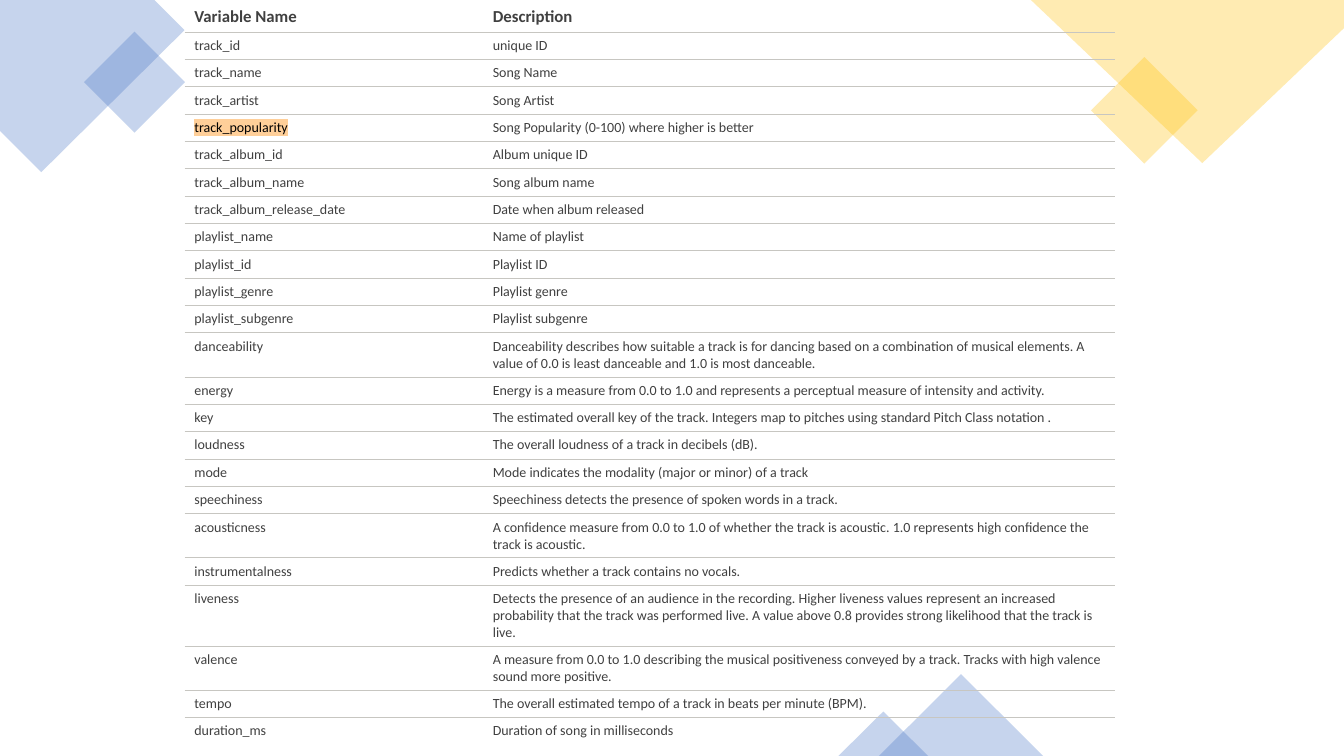
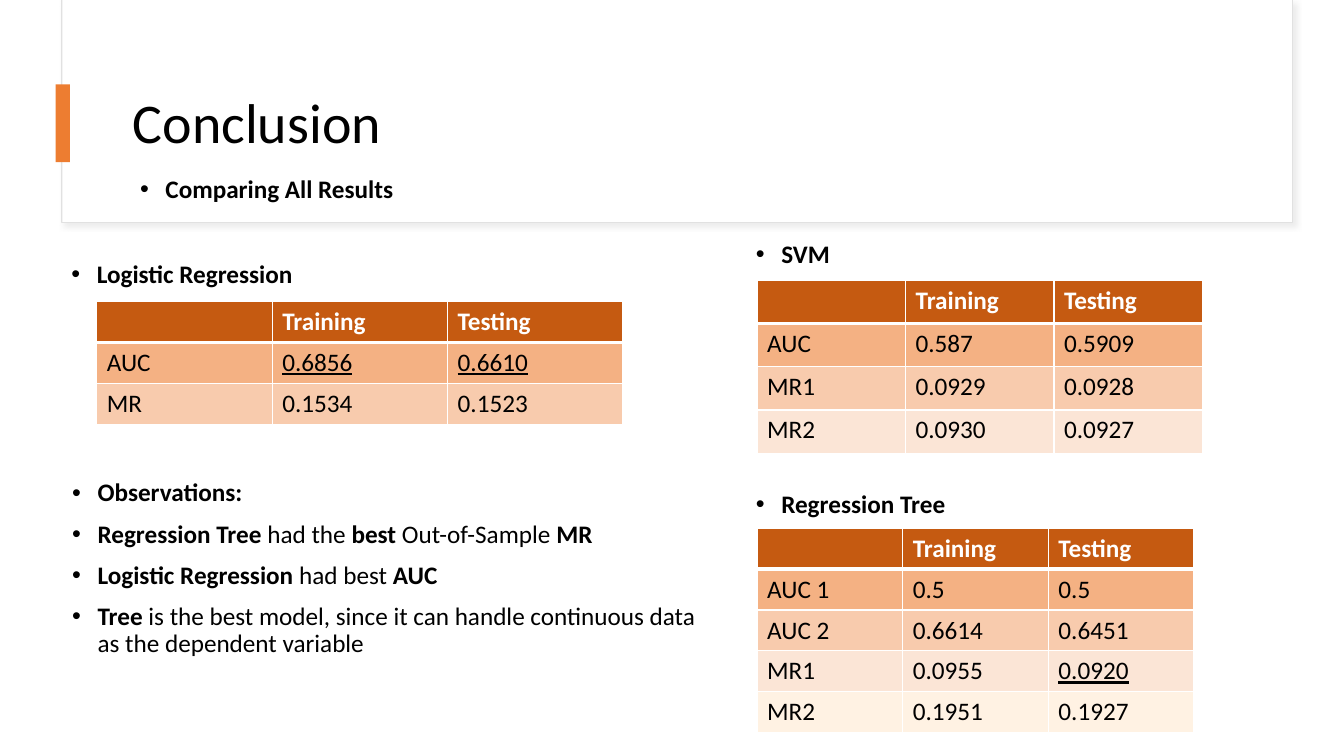
from dataclasses import dataclass
from typing import Any, NamedTuple

from lxml import etree
from pptx import Presentation
from pptx import util as u
from pptx.dml.color import RGBColor
from pptx.enum import shapes, text
from pptx.oxml import ns
from pptx.slide import Slide

FONT = "Calibri"
BLACK, WHITE, GREY = "000000", "FFFFFF", "404040"
BLUE, GOLD, ORANGE = "4472C4", "FFC000", "ED7D31"
RULE, PEACH, FRAME_LINE = "C7C6C1", "FFCF99", "E1E1E1"
HEADER_FILL = "C55A11"
BAND_FILLS = [("F4B183", 100), ("F8CBAD", 100), ("FBE5D6", 100), (PEACH, 27)]
PLAIN_TABLE = "{2D5ABB26-0587-4C30-8999-92F81FD0307C}"
SLIDE_WIDTH, SLIDE_HEIGHT = 33.87, 19.05


class Box(NamedTuple):
    left: float
    top: float
    width: float
    height: float

    def lengths(self) -> list[u.Cm]:
        return [u.Cm(value) for value in self]


class Span(NamedTuple):
    words: str
    bold: bool = True


@dataclass
class Decor:
    kind: shapes.MSO_SHAPE
    box: Box
    color: str
    rotation: float = 0


@dataclass
class Outline:
    points: list[tuple[float, float]]
    color: str


@dataclass
class BulletBox:
    box: Box
    lines: list[list[Span]]


@dataclass
class ResultTable:
    left: float
    top: float
    column_width: float
    row_height: float
    rows: list[tuple[str, str, str]]
    best: tuple[str, ...] = ()


RECTANGLE = shapes.MSO_SHAPE.RECTANGLE
TRIANGLE = shapes.MSO_SHAPE.ISOSCELES_TRIANGLE

OUTLINES = [
    Outline([(0, 0), (3.89, 0), (4.65, 0.76), (1.04, 4.34), (0, 3.3)], BLUE),
    Outline([(25.98, 0), (SLIDE_WIDTH, 0), (SLIDE_WIDTH, 0.71), (30.3, 4.11)], GOLD),
]
DECORS = [
    Decor(RECTANGLE, Box(2.49, 1.17, 1.8, 1.8), BLUE, 315),
    Decor(RECTANGLE, Box(27.89, 1.83, 1.9, 1.9), GOLD, 315),
    Decor(TRIANGLE, Box(22.15, SLIDE_HEIGHT - 2.06, 4.14, 2.06), BLUE),
    Decor(TRIANGLE, Box(21.13, SLIDE_HEIGHT - 1.12, 2.26, 1.12), BLUE),
]

VARIABLES = [
    ("Variable Name", "Description"),
    ("track_id", "unique ID"),
    ("track_name", "Song Name"),
    ("track_artist", "Song Artist"),
    ("track_popularity", "Song Popularity (0-100) where higher is better"),
    ("track_album_id", "Album unique ID"),
    ("track_album_name", "Song album name"),
    ("track_album_release_date", "Date when album released"),
    ("playlist_name", "Name of playlist"),
    ("playlist_id", "Playlist ID"),
    ("playlist_genre", "Playlist genre"),
    ("playlist_subgenre", "Playlist subgenre"),
    ("danceability", "Danceability describes how suitable a track is for dancing based on a "
     "combination of musical elements. A value of 0.0 is least danceable and 1.0 is most danceable."),
    ("energy", "Energy is a measure from 0.0 to 1.0 and represents a perceptual measure of "
     "intensity and activity."),
    ("key", "The estimated overall key of the track. Integers map to pitches using standard "
     "Pitch Class notation ."),
    ("loudness", "The overall loudness of a track in decibels (dB)."),
    ("mode", "Mode indicates the modality (major or minor) of a track"),
    ("speechiness", "Speechiness detects the presence of spoken words in a track."),
    ("acousticness", "A confidence measure from 0.0 to 1.0 of whether the track is acoustic. "
     "1.0 represents high confidence the track is acoustic."),
    ("instrumentalness", "Predicts whether a track contains no vocals."),
    ("liveness", "Detects the presence of an audience in the recording. Higher liveness values "
     "represent an increased probability that the track was performed live. A value above 0.8 "
     "provides strong likelihood that the track is live."),
    ("valence", "A measure from 0.0 to 1.0 describing the musical positiveness conveyed by a "
     "track. Tracks with high valence sound more positive."),
    ("tempo", "The overall estimated tempo of a track in beats per minute (BPM)."),
    ("duration_ms", "Duration of song in milliseconds"),
]
TARGET_VARIABLE = "track_popularity"

RESULT_HEADER = ("", "Training", "Testing")
RESULTS = [
    ResultTable(2.44, 7.6, 4.42, 1.03,
                [("AUC", "0.6856", "0.6610"), ("MR", "0.1534", "0.1523")],
                ("0.6856", "0.6610")),
    ResultTable(19.08, 7.06, 3.74, 1.09,
                [("AUC", "0.587", "0.5909"), ("MR1", "0.0929", "0.0928"),
                 ("MR2", "0.0930", "0.0927")]),
    ResultTable(19.08, 13.31, 3.67, 1.03,
                [("AUC 1", "0.5", "0.5"), ("AUC 2", "0.6614", "0.6451"),
                 ("MR1", "0.0955", "0.0920"), ("MR2", "0.1951", "0.1927")],
                ("0.0920",)),
]
BULLET_BOXES = [
    BulletBox(Box(3.28, 3.33, 18.52, 2.92), [[Span("Comparing All Results")]]),
    BulletBox(Box(1.55, 5.49, 16.8, 2.92), [[Span("Logistic Regression")]]),
    BulletBox(Box(18.8, 4.98, 14, 2.92), [[Span("SVM")]]),
    BulletBox(Box(18.8, 11.94, 14, 1.57), [[Span("Regression Tree")]]),
    BulletBox(Box(1.57, 11.4, 16.8, 5.89), [
        [Span("Observations:")],
        [Span("Regression Tree "), Span("had the ", False), Span("best"),
         Span(" Out-of-Sample ", False), Span("MR")],
        [Span("Logistic Regression "), Span("had best ", False), Span("AUC")],
        [Span("Tree "), Span("is the best model, since it can handle continuous data "
                             "as the dependent variable", False)],
    ]),
]


def rgb(color: str) -> RGBColor:
    return RGBColor.from_string(color)


def add_element(parent: Any, tag: str, **attributes: Any) -> Any:
    values = {key: str(value) for key, value in attributes.items()}
    return etree.SubElement(parent, ns.qn(tag), values)


def paint(fill: Any, properties: Any, color: str, alpha: int = 100) -> None:
    fill.solid()
    fill.fore_color.rgb = rgb(color)
    if alpha < 100:
        color_node = properties.find(ns.qn("a:solidFill"))[0]
        add_element(color_node, "a:alpha", val=alpha * 1000)


def style_font(font: Any, size: float, color: str = BLACK, bold: bool = False) -> None:
    font.name = FONT
    font.size = u.Pt(size)
    font.bold = bold
    font.color.rgb = rgb(color)


def finish_shape(shape: Any, color: str, alpha: int = 100) -> None:
    shape.shadow.inherit = False
    shape.line.fill.background()
    paint(shape.fill, shape.element.spPr, color, alpha)


def add_block(page: Slide, kind: shapes.MSO_SHAPE, box: Box, color: str, alpha: int = 100) -> Any:
    shape = page.shapes.add_shape(kind, *box.lengths())
    finish_shape(shape, color, alpha)
    return shape


def add_outline(page: Slide, outline: Outline) -> None:
    points = [(u.Cm(x), u.Cm(y)) for x, y in outline.points]
    builder = page.shapes.build_freeform(*points[0], scale=1.0)
    builder.add_line_segments(points[1:], close=True)
    finish_shape(builder.convert_to_shape(), outline.color, 30)


def add_text_frame(page: Slide, box: Box) -> Any:
    frame = page.shapes.add_textbox(*box.lengths()).text_frame
    frame.word_wrap = True
    frame.vertical_anchor = text.MSO_ANCHOR.MIDDLE
    return frame


def add_bullets(page: Slide, bullet_box: BulletBox) -> None:
    frame = add_text_frame(page, bullet_box.box)
    for index, spans in enumerate(bullet_box.lines):
        para = frame.add_paragraph() if index else frame.paragraphs[0]
        properties = para._p.get_or_add_pPr()
        properties.set("marL", str(u.Cm(0.64)))
        properties.set("indent", str(-u.Cm(0.64)))
        add_element(properties, "a:buFont", typeface="Arial")
        add_element(properties, "a:buChar", char="•")
        para.line_spacing = 0.9
        if index:
            para.space_before = u.Pt(10)
        for span in spans:
            run = para.add_run()
            run.text = span.words
            style_font(run.font, 18, bold=span.bold)


def add_plain_table(page: Slide, left: float, top: float,
                    widths: list[float], heights: list[float]) -> Any:
    box = Box(left, top, sum(widths), sum(heights))
    frame = page.shapes.add_table(len(heights), len(widths), *box.lengths())
    frame.element.xpath(".//a:tableStyleId")[0].text = PLAIN_TABLE
    table = frame.table
    for column, width in zip(table.columns, widths):
        column.width = u.Cm(width)
    for row, height in zip(table.rows, heights):
        row.height = u.Cm(height)
    return table


def set_borders(cell: Any, color: str, widths: dict[str, float]) -> None:
    properties = cell._tc.get_or_add_tcPr()
    for side in "LRTB":
        if side in widths:
            line = add_element(properties, f"a:ln{side}", w=u.Pt(widths[side]))
            add_element(add_element(line, "a:solidFill"), "a:srgbClr", val=color)


def write_cell(cell: Any, words: str, size: float, color: str, bold: bool) -> Any:
    cell.text_frame.text = words
    para = cell.text_frame.paragraphs[0]
    style_font(para.runs[0].font if words else para.font, size, color, bold)
    return para


def highlight(run: Any, color: str) -> None:
    run.font.color.rgb = rgb(BLACK)
    properties = run._r.get_or_add_rPr()
    marker = add_element(properties, "a:highlight")
    add_element(marker, "a:srgbClr", val=color)
    properties.find(ns.qn("a:solidFill")).addnext(marker)


def add_variable_table(page: Slide) -> None:
    heights = [0.81] + [1.02 if len(description) > 110 else 0.69
                        for _, description in VARIABLES[1:]]
    table = add_plain_table(page, 4.65, 0, [7.52, 15.92], heights)
    last = len(VARIABLES) - 1
    for row, texts in enumerate(VARIABLES):
        header = row == 0
        borders = ({} if header else {"T": 0.75}) | ({} if row == last else {"B": 0.75})
        for column, words in enumerate(texts):
            cell = table.cell(row, column)
            set_borders(cell, RULE, borders)
            cell.fill.background()
            cell.margin_left, cell.margin_right = u.Cm(0.25), u.Cm(0.2)
            cell.vertical_anchor = text.MSO_ANCHOR.BOTTOM if header else text.MSO_ANCHOR.TOP
            para = write_cell(cell, words, 12 if header else 10, GREY, header)
            if words == TARGET_VARIABLE:
                highlight(para.runs[0], PEACH)


def add_result_table(page: Slide, result: ResultTable) -> None:
    rows = [RESULT_HEADER, *result.rows]
    table = add_plain_table(page, result.left, result.top, [result.column_width] * 3,
                            [result.row_height] * len(rows))
    fills = [(HEADER_FILL, 100), *BAND_FILLS]
    for row, texts in enumerate(rows):
        header = row == 0
        borders = {"L": 1, "R": 1, "T": 3 if row == 1 else 1, "B": 3 if header else 1}
        for column, words in enumerate(texts):
            cell = table.cell(row, column)
            set_borders(cell, WHITE, borders)
            paint(cell.fill, cell._tc.get_or_add_tcPr(), *fills[row])
            para = write_cell(cell, words, 18, WHITE if header else BLACK, header)
            if words in result.best:
                para.runs[0].font.underline = True


def add_title_panel(page: Slide, title: str) -> None:
    frame = add_block(page, RECTANGLE, Box(1.56, 0, 31.01, 5.61), WHITE)
    frame.line.color.rgb = rgb(FRAME_LINE)
    frame.line.width = u.Pt(1)
    effects = frame.element.spPr.find(ns.qn("a:effectLst"))
    shadow = add_element(effects, "a:outerShdw", blurRad=u.Pt(4), dist=u.Pt(3), dir=45 * 60000)
    add_element(add_element(shadow, "a:srgbClr", val="D9D9D9"), "a:alpha", val=50000)
    add_block(page, RECTANGLE, Box(1.57, 0, 30.99, 5.59), WHITE)
    add_block(page, RECTANGLE, Box(1.4, 2.13, 0.36, 1.96), ORANGE)
    para = add_text_frame(page, Box(3.1, 1.52, 28.24, 3.28)).paragraphs[0]
    para.text = title
    para.line_spacing = 0.9
    style_font(para.runs[0].font, 40)


def build_variables(page: Slide) -> None:
    for outline in OUTLINES:
        add_outline(page, outline)
    for decor in DECORS:
        add_block(page, decor.kind, decor.box, decor.color, 30).rotation = decor.rotation
    add_variable_table(page)


def build_conclusion(page: Slide) -> None:
    add_title_panel(page, "Conclusion")
    for result in RESULTS:
        add_result_table(page, result)
    for bullet_box in BULLET_BOXES:
        add_bullets(page, bullet_box)


def main() -> None:
    deck = Presentation()
    deck.slide_width, deck.slide_height = u.Cm(SLIDE_WIDTH), u.Cm(SLIDE_HEIGHT)
    for build in (build_variables, build_conclusion):
        build(deck.slides.add_slide(deck.slide_layouts[6]))
    deck.save("out.pptx")


if __name__ == "__main__":
    main()
